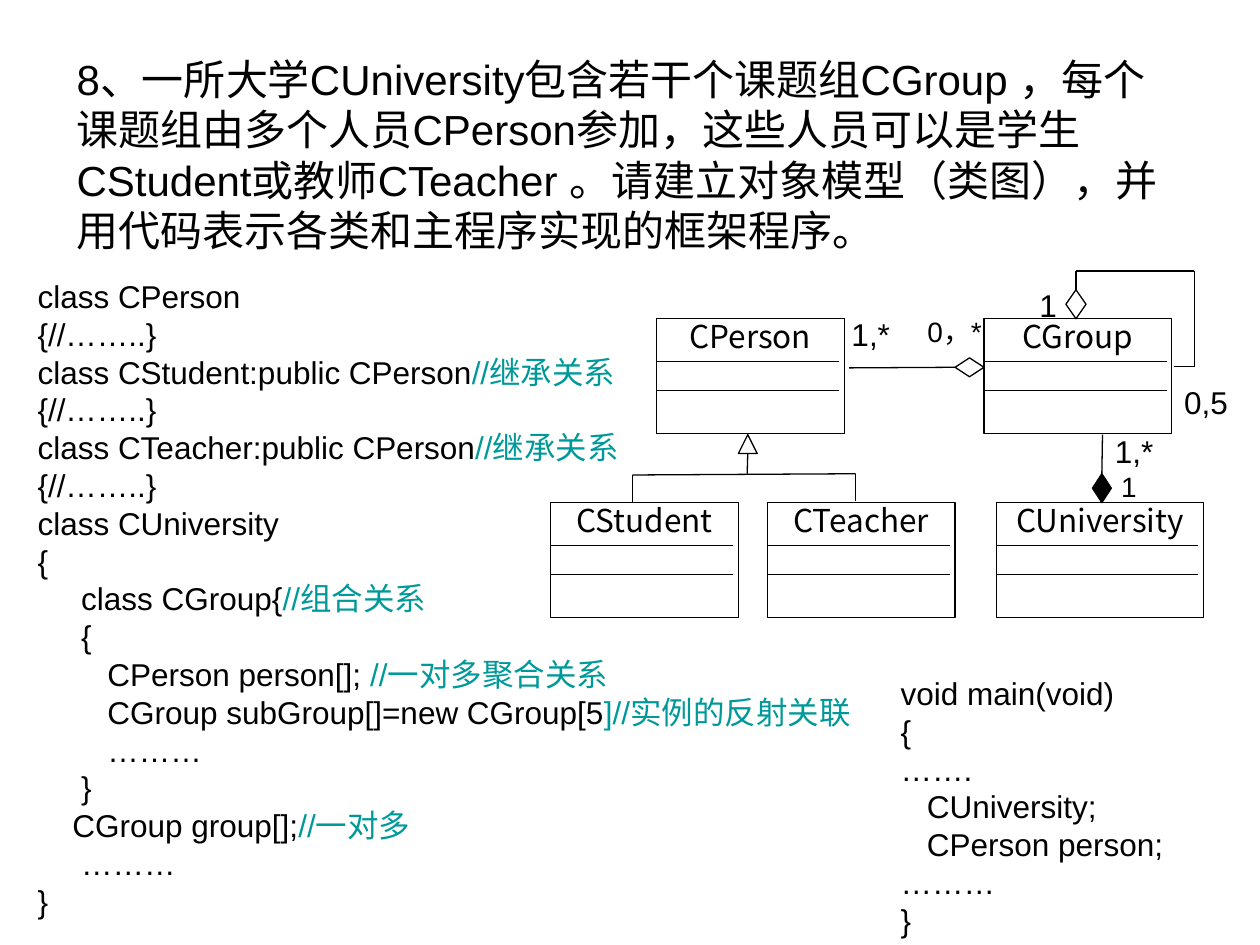
from lxml.etree import SubElement
from pptx import Presentation
from pptx.dml.color import RGBColor
from pptx.enum.shapes import MSO_CONNECTOR as LINE, MSO_SHAPE as SHAPE
from pptx.enum.text import MSO_ANCHOR as ANCHOR, PP_ALIGN as ALIGN
from pptx.oxml.ns import qn
from pptx.util import Inches, Pt

BLACK = RGBColor(0, 0, 0)
TEAL = RGBColor(0, 0x99, 0x99)
LATIN, HAN = "Arial", "Noto Sans CJK SC"

TITLE = ("8、一所大学CUniversity包含若干个课题组CGroup ，每个课题组由多个人员CPerson参加，"
         "这些人员可以是学生CStudent或教师CTeacher 。请建立对象模型（类图），"
         "并用代码表示各类和主程序实现的框架程序。")

# Each line of code: plain part, then an optional comment part
CODE = [
    ("class CPerson",),
    ("{//……..}",),
    ("class CStudent:public CPerson", "//继承关系"),
    ("{//……..}",),
    ("class CTeacher:public CPerson", "//继承关系"),
    ("{//……..}",),
    ("class CUniversity",),
    ("{",),
    ("     class CGroup{", "//组合关系"),
    ("     {",),
    ("        CPerson person[]; ", "//一对多聚合关系"),
    ("        CGroup subGroup[]=new CGroup[5", "]//实例的反射关联"),
    ("        ………",),
    ("     }",),
    ("    CGroup group[];", "//一对多"),
    ("     ………",),
    ("}",),
]
MAIN = [("void main(void)",), ("{",), ("…….",), ("   CUniversity;",),
        ("   CPerson person;",), ("………",), ("}",)]

# name, left, top, width
CLASSES = [
    ("CPerson", 5.21, 2.53, 1.49),
    ("CGroup", 7.81, 2.53, 1.49),
    ("CStudent", 4.37, 3.99, 1.49),
    ("CTeacher", 6.09, 3.99, 1.49),
    ("CUniversity", 7.91, 3.99, 1.64),
]
BOX_HIGH, RULES, RULE_GAP = 0.91, (0.34, 0.57), 0.04

# text, box, size, alignment
LABELS = [
    ("1,*", (6.66, 2.45, 0.53, 0.4), 18, ALIGN.LEFT),
    ("0，*", (7.2, 2.45, 0.69, 0.64), 16, ALIGN.RIGHT),
    ("1", (8.15, 2.22, 0.31, 0.4), 18, ALIGN.LEFT),
    ("0,5", (9.3, 2.99, 0.7, 0.4), 18, ALIGN.LEFT),
    ("1,*", (8.75, 3.38, 0.53, 0.4), 18, ALIGN.LEFT),
    ("1", (8.59, 3.68, 0.53, 0.37), 16, ALIGN.RIGHT),
]

# symbol, box, fill, start of its line, side where the line joins
ENDS = [
    (SHAPE.FLOWCHART_EXTRACT, (5.86, 3.45, 0.15, 0.15), None, (5.93, 3.76), 2),
    (SHAPE.FLOWCHART_DECISION, (7.58, 2.84, 0.23, 0.15), None, (6.74, 2.92), 1),
    (SHAPE.DIAMOND, (8.67, 3.76, 0.15, 0.23), BLACK, (8.75, 3.45), 0),
    (SHAPE.DIAMOND, (8.46, 2.3, 0.16, 0.23), None, (8.54, 2.15), 0),
]
PATHS = [
    [(5.02, 3.99), (5.02, 3.77), (6.79, 3.76), (6.79, 3.98)],
    [(9.32, 2.91), (9.48, 2.91), (9.48, 2.15), (8.54, 2.15)],
]

prs = Presentation()
prs.slide_width, prs.slide_height = Inches(10), Inches(7.5)
shapes = prs.slides.add_slide(prs.slide_layouts[6]).shapes


def add_run(para, text, size, color=BLACK, face=LATIN):
    run = para.add_run()
    run.text = text
    font = run.font
    font.size, font.name, font.color.rgb = Pt(size), face, color
    SubElement(font._element, qn("a:ea")).set("typeface", HAN)


def add_text(box, lines, size, align=ALIGN.LEFT, anchor=ANCHOR.TOP):
    frame = shapes.add_textbox(*map(Inches, box)).text_frame
    frame.word_wrap = True
    frame.vertical_anchor = anchor
    for i, parts in enumerate(lines):
        para = frame.add_paragraph() if i else frame.paragraphs[0]
        para.alignment = align
        for part, color in zip(parts, (BLACK, TEAL)):
            add_run(para, part, size, color)


def add_line(start, end):
    line = shapes.add_connector(LINE.STRAIGHT, *map(Inches, (*start, *end)))
    line.line.color.rgb, line.line.width = BLACK, Pt(0.75)
    SubElement(line._element.spPr, qn("a:effectLst"))
    return line


def add_shape(kind, box, fill=None):
    shape = shapes.add_shape(kind, *map(Inches, box))
    shape.shadow.inherit = False
    shape.line.color.rgb, shape.line.width = BLACK, Pt(0.75)
    if fill is None:
        shape.fill.background()
    else:
        shape.fill.solid()
        shape.fill.fore_color.rgb = fill
    return shape


def add_class(name, left, top, width):
    """Draw a class box with its name above two dividing rules."""
    frame = add_shape(SHAPE.RECTANGLE, (left, top, width, BOX_HIGH)).text_frame
    frame.vertical_anchor = ANCHOR.TOP
    frame.margin_top = Inches(0.02)
    para = frame.paragraphs[0]
    para.alignment, para.line_spacing = ALIGN.CENTER, 0.9
    add_run(para, name, 18, face=HAN)
    for drop in RULES:
        add_line((left, top + drop), (left + width - RULE_GAP, top + drop))


add_text((0.51, 0.28, 8.82, 1.89), [(TITLE,)], 24, anchor=ANCHOR.MIDDLE)
add_text((7.05, 5.3, 2.64, 2.2), MAIN, 18)
for item in CLASSES:
    add_class(*item)
for kind, box, fill, start, side in ENDS:
    symbol = add_shape(kind, box, fill)
    add_line(start, box[:2]).end_connect(symbol, side)
for path in PATHS:
    for start, end in zip(path, path[1:]):
        add_line(start, end)
for text, box, size, align in LABELS:
    add_text(box, [(text,)], size, align)
add_text((0.2, 2.15, 6.77, 5.2), CODE, 18)

prs.save("out.pptx")
